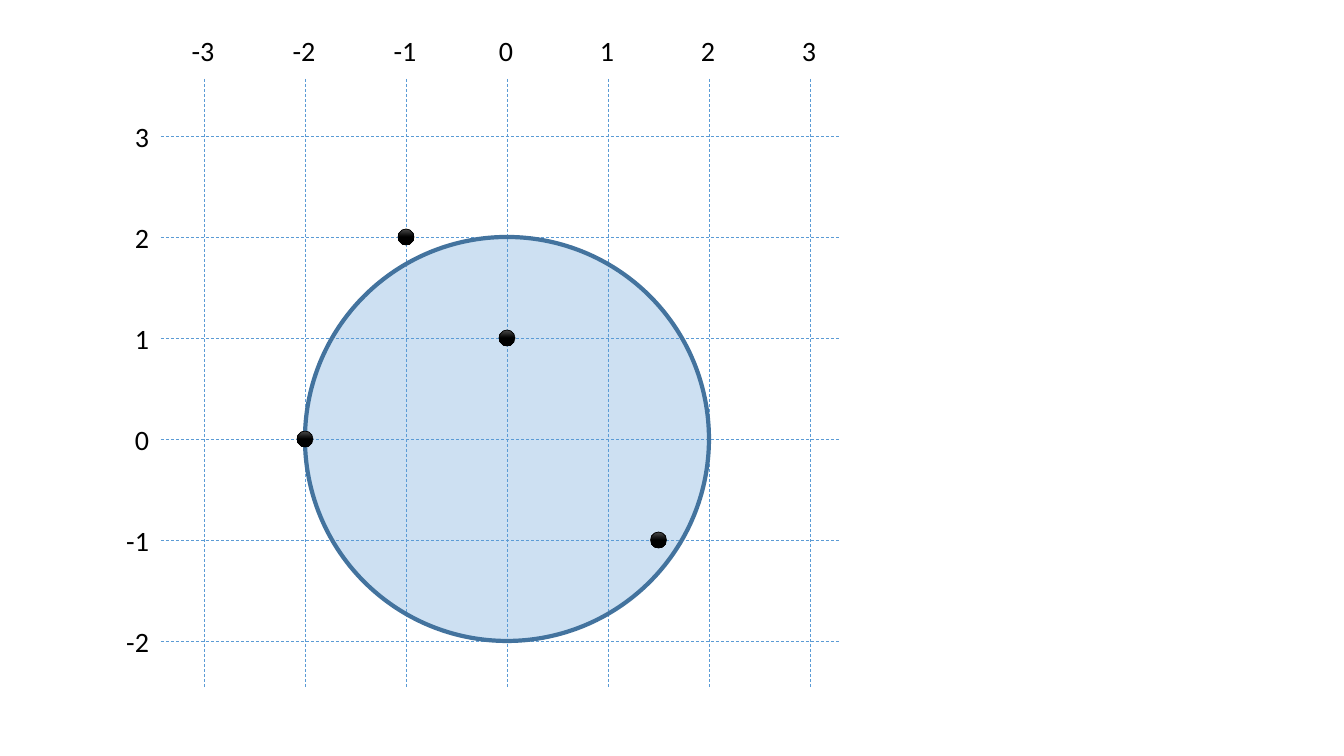
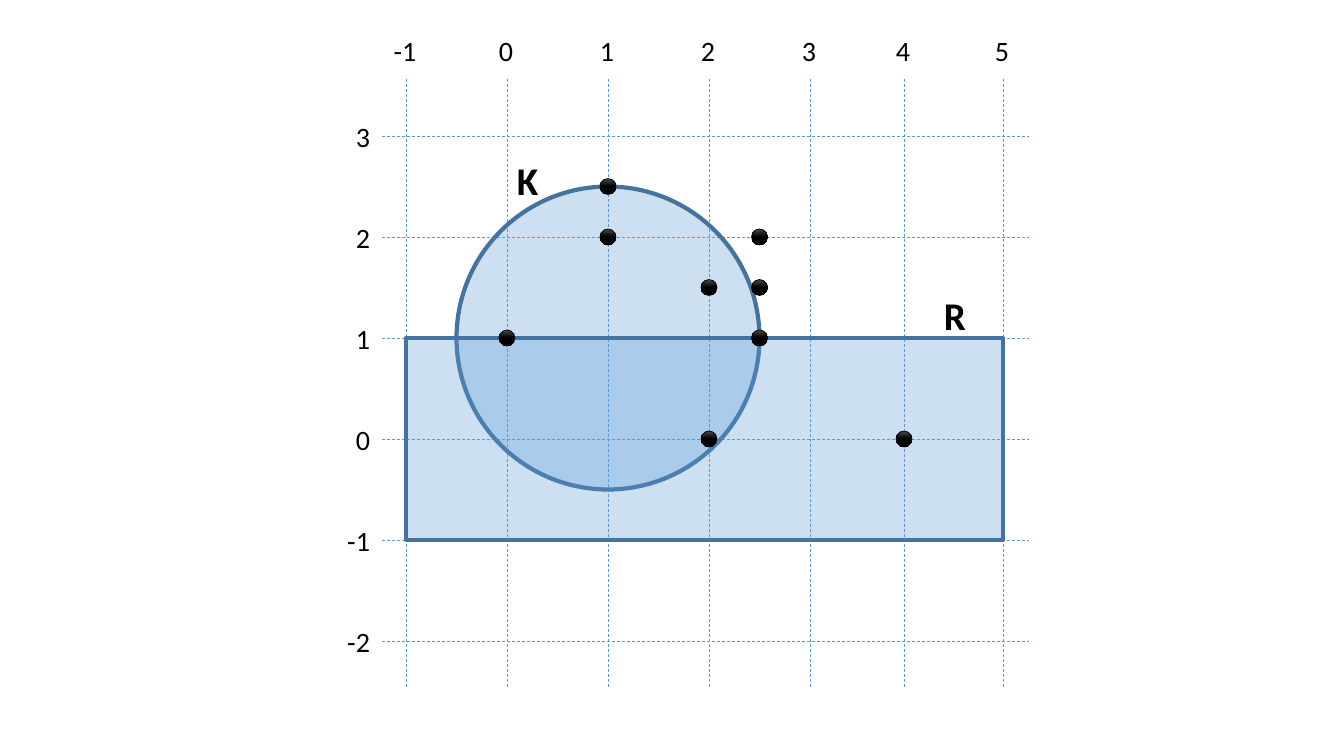
from lxml.etree import SubElement
from pptx import Presentation
from pptx.dml.color import RGBColor as Rgb
from pptx.enum.dml import MSO_LINE as Dash
from pptx.enum.shapes import MSO_CONNECTOR as Connector, MSO_SHAPE as Shape
from pptx.enum.text import MSO_AUTO_SIZE as AutoSize, PP_ALIGN as Align
from pptx.oxml.ns import qn
from pptx.util import Emu, Pt

PIXEL = 914400 / 100.8
COLORS = {"grid": "5B9BD5", "area": "5B9BD5", "outline": "43739E",
          "shine": "4B4B4B", "black": "000000"}
GRID_LINE = {"width": Pt(0.5), "dash_style": Dash.DASH}
AREA_LINE = {"width": Pt(3)}
DOT_LINE = {"width": Pt(0.5)}
AXIS_FONT = {"name": "Calibri", "size": Pt(20)}
NAME_FONT = {"name": "Calibri", "size": Pt(28), "bold": True}
FRAME_FORMAT = {"word_wrap": False, "auto_size": AutoSize.SHAPE_TO_FIT_TEXT}

ORIGIN_X, ORIGIN_Y, UNIT = 507, 439, 101
ROWS = range(-2, 4)
LABEL_TOP, LABEL_HEIGHT = 29, 44
DOT = 16
AREA_ALPHA = 30

PLOTS = [
    {"box": (161, 79, 678, 608), "columns": range(-3, 4), "nudge": {},
     "areas": [(Shape.OVAL, (-2, 2), (2, -2))],
     "dots": [(0, 1), (1.5, -1), (-1, 2), (-2, 0)],
     "names": []},
    {"box": (382, 79, 647, 608), "columns": range(-1, 6), "nudge": {4: -7, 5: -9},
     "areas": [(Shape.OVAL, (-0.5, 2.5), (2.5, -0.5)),
               (Shape.RECTANGLE, (-1, 1), (5, -1))],
     "dots": [(1, 2), (2.5, 2), (0, 1), (4, 0), (2, 0), (2.5, 1),
              (2, 1.5), (1, 2.5), (2.5, 1.5)],
     "names": [("K", (507, 151, 42, 57)), ("R", (934, 286, 42, 57))]},
]


def px(*lengths):
    """Turn pixel lengths into EMU."""
    return [Emu(round(length * PIXEL)) for length in lengths]


def color(name):
    """Look up a colour by name."""
    return Rgb.from_string(COLORS[name])


def set_format(target, values):
    """Set every attribute in values on target."""
    for name, value in values.items():
        setattr(target, name, value)


def set_line(line, color_name, values):
    """Give a line its colour and format."""
    line.color.rgb = color(color_name)
    set_format(line, values)


def position(plot, x, y):
    """Return the pixel position of a point of the plane."""
    return ORIGIN_X + UNIT * x + plot["nudge"].get(x, 0), ORIGIN_Y - UNIT * y


def add_label(page, box, words, font, align=Align.LEFT):
    """Write a short text in the box."""
    frame = page.shapes.add_textbox(*px(*box)).text_frame
    set_format(frame, FRAME_FORMAT)
    para = frame.paragraphs[0]
    para.alignment = align
    span = para.add_run()
    span.text = words
    set_format(span.font, font)
    span.font.color.rgb = color("black")


def add_grid_line(page, start, end):
    """Draw one dashed line of the grid."""
    line = page.shapes.add_connector(Connector.STRAIGHT, *px(*start, *end))
    set_line(line.line, "grid", GRID_LINE)
    SubElement(line._element.spPr, qn("a:effectLst"))


def add_grid(page, plot):
    """Draw the grid in its box, with numbers above and to the left."""
    left, top, width, height = plot["box"]
    for row in ROWS:
        y = position(plot, 0, row)[1]
        add_grid_line(page, (left, y), (left + width, y))
        label_width = 25 + 9 * len(str(row))
        label_box = (left - 2 - label_width, y + 1 - LABEL_HEIGHT / 2,
                     label_width, LABEL_HEIGHT)
        add_label(page, label_box, str(row), AXIS_FONT, Align.RIGHT)
    for column in plot["columns"]:
        x = position(plot, column, 0)[0]
        add_grid_line(page, (x, top), (x, top + height))
        label_width = 25 + 9 * len(str(column))
        label_box = (x - 1 - label_width / 2, LABEL_TOP, label_width, LABEL_HEIGHT)
        add_label(page, label_box, str(column), AXIS_FONT, Align.CENTER)


def add_area(page, plot, kind, upper_left, lower_right):
    """Draw a see-through area between two corner points."""
    left, top = position(plot, *upper_left)
    right, bottom = position(plot, *lower_right)
    area = page.shapes.add_shape(kind, *px(left, top, right - left, bottom - top))
    area.shadow.inherit = False
    area.fill.solid()
    area.fill.fore_color.rgb = color("area")
    tint = area._element.spPr.find(qn("a:solidFill"))[0]
    SubElement(tint, qn("a:alpha"), val=str(AREA_ALPHA * 1000))
    set_line(area.line, "outline", AREA_LINE)


def add_dot(page, plot, point):
    """Mark a point with a shaded black dot."""
    x, y = position(plot, *point)
    dot = page.shapes.add_shape(Shape.OVAL, *px(x - DOT / 2, y - DOT / 2, DOT, DOT))
    dot.shadow.inherit = False
    dot.fill.gradient()
    dot.fill.gradient_angle = 270
    shades = (("shine", 0), ("black", 0.5))
    for stop, (name, place) in zip(dot.fill.gradient_stops, shades):
        stop.color.rgb = color(name)
        stop.position = place
    set_line(dot.line, "black", DOT_LINE)


def add_plot(page, plot):
    """Place the grid, areas, dots and area names of one slide."""
    add_grid(page, plot)
    for area in plot["areas"]:
        add_area(page, plot, *area)
    for point in plot["dots"]:
        add_dot(page, plot, point)
    for name, box in plot["names"]:
        add_label(page, box, name, NAME_FONT)


def build():
    """Make the deck with one slide for each plot."""
    deck = Presentation()
    deck.slide_width, deck.slide_height = px(1344, 756)
    for plot in PLOTS:
        add_plot(deck.slides.add_slide(deck.slide_layouts[6]), plot)
    deck.save("out.pptx")


build()
